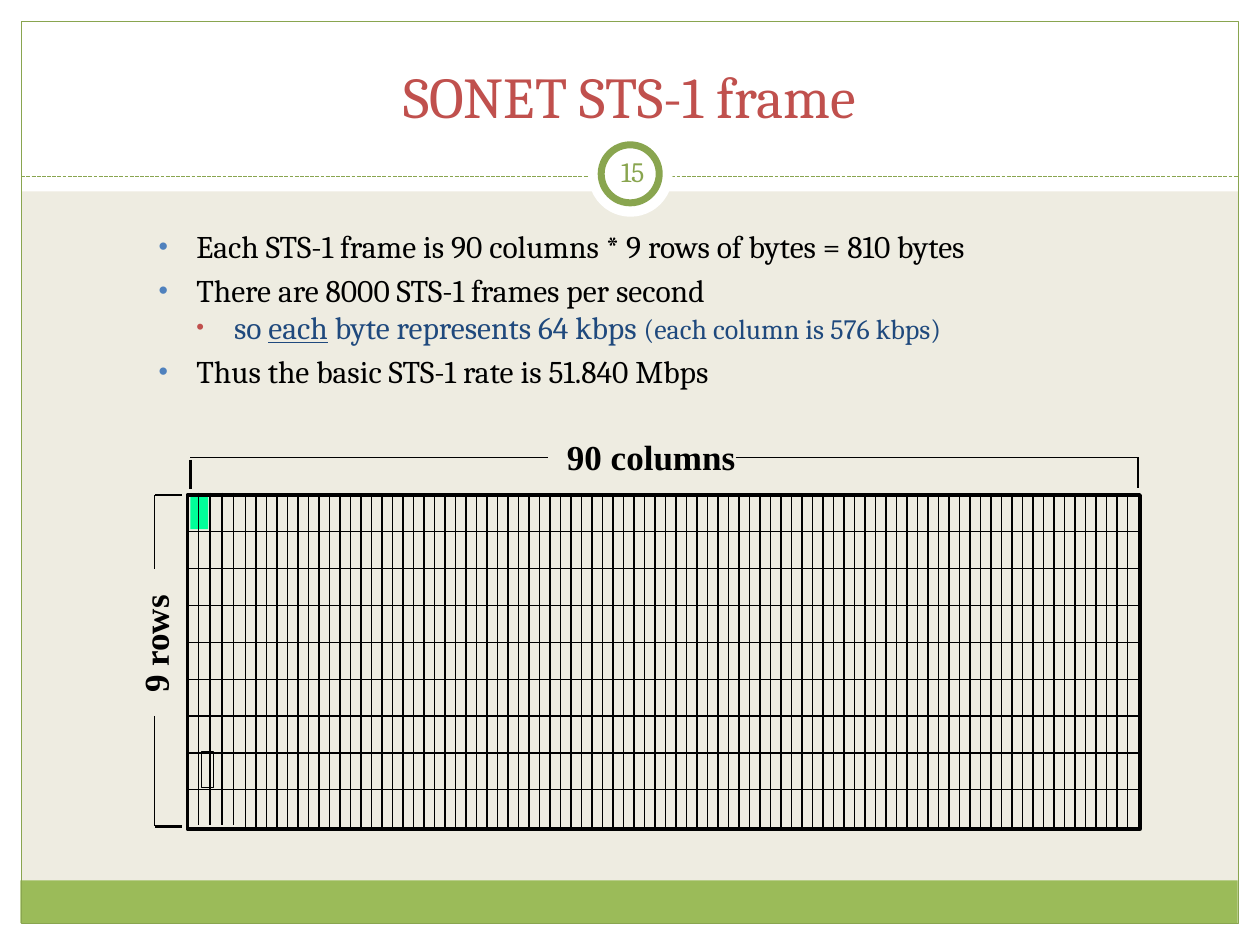
from dataclasses import dataclass
from typing import Optional

from lxml.etree import SubElement
from pptx import Presentation
from pptx.dml.color import RGBColor
from pptx.enum.dml import MSO_LINE
from pptx.enum.shapes import MSO_CONNECTOR, MSO_SHAPE
from pptx.enum.text import MSO_ANCHOR, PP_ALIGN
from pptx.oxml.ns import qn
from pptx.util import Cm, Pt

BLACK = RGBColor(0x00, 0x00, 0x00)
WHITE = RGBColor(0xFF, 0xFF, 0xFF)
CREAM = RGBColor(0xEE, 0xEC, 0xE1)
LEAF = RGBColor(0x9B, 0xBB, 0x59)
OLIVE = RGBColor(0x89, 0xA5, 0x4F)
RED = RGBColor(0xC0, 0x50, 0x4D)
BLUE = RGBColor(0x4F, 0x81, 0xBD)
NAVY = RGBColor(0x1F, 0x49, 0x7D)
MINT = RGBColor(0x00, 0xFF, 0x99)


@dataclass(frozen=True)
class Area:
    left: float
    top: float
    width: float
    height: float
    fill: Optional[RGBColor] = None
    line: Optional[RGBColor] = None
    weight: float = 0.75
    preset: MSO_SHAPE = MSO_SHAPE.RECTANGLE


@dataclass(frozen=True)
class Rule:
    x1: float
    y1: float
    x2: float
    y2: float
    weight: float = 0.75
    color: RGBColor = BLACK
    dash: Optional[MSO_LINE] = None


@dataclass(frozen=True)
class Words:
    text: str
    size: float = 18
    color: RGBColor = BLACK
    font: str = "Cambria"
    bold: bool = False
    underline: bool = False


@dataclass(frozen=True)
class Label:
    left: float
    top: float
    width: float
    height: float
    words: Words
    align: PP_ALIGN = PP_ALIGN.LEFT
    anchor: MSO_ANCHOR = MSO_ANCHOR.TOP
    rotation: float = 0
    inset: Optional[float] = None


@dataclass(frozen=True)
class Level:
    margin: float
    bullet_color: RGBColor
    bullet_percent: int
    space_before: float
    line_spacing: float


MAIN = Level(0.76, BLUE, 85, 3.6, 1.0)
DETAIL = Level(1.52, RED, 70, 1.8, 0.9)

POINTS = [
    (MAIN, [Words("Each STS-1 frame is 90 columns * 9 rows of bytes = 810 bytes")]),
    (MAIN, [Words("There are 8000 STS-1 frames per second")]),
    (DETAIL, [
        Words("so ", color=NAVY),
        Words("each", color=NAVY, underline=True),
        Words(" byte represents 64 kbps ", color=NAVY),
        Words("(each column is 576 kbps)", 16, NAVY),
    ]),
    (MAIN, [Words("Thus the basic STS-1 rate is 51.840 Mbps")]),
]

THEME_AREAS = [
    Area(0, 18.62, 25.4, 0.43, WHITE),
    Area(0, 0, 25.4, 3.86, WHITE),
    Area(0, 0, 0.43, 19.05, WHITE),
    Area(24.97, 0, 0.43, 19.05, WHITE),
    Area(0.41, 17.75, 24.54, 0.86, LEAF),
    Area(0.43, 0.43, 24.54, 18.19, None, OLIVE),
]
DIVIDER = Rule(0.43, 3.56, 24.97, 3.56, 0.75, OLIVE, MSO_LINE.SQUARE_DOT)
BADGE = [
    Area(11.86, 2.67, 1.7, 1.7, WHITE, preset=MSO_SHAPE.OVAL),
    Area(12.12, 2.92, 1.17, 1.17, WHITE, OLIVE, 4, MSO_SHAPE.OVAL),
]
TITLE = Label(0.84, 0.64, 23.7, 2.11, Words("SONET STS-1 frame", 33, RED),
              PP_ALIGN.CENTER, MSO_ANCHOR.BOTTOM)
PAGE_NUMBER = Label(12.12, 2.84, 1.27, 1.22, Words("15", 16, OLIVE),
                    PP_ALIGN.CENTER, MSO_ANCHOR.MIDDLE, inset=0.13)

FIRST_BYTES = Area(3.84, 10.01, 0.36, 0.66, MINT)
FRAME = Area(3.78, 9.98, 19.2, 6.73, None, BLACK, 2.25)
BYTE_MARKER = Area(4.06, 15.16, 0.25, 0.71, None, BLACK)
DIMENSIONS = [
    Label(11.18, 8.66, 4.8, 1.09, Words("90 columns", 20, BLACK, "Times New Roman", True)),
    Label(1.85, 12.4, 2.54, 1.09, Words("9 rows", 20, BLACK, "Times New Roman", True),
          rotation=270),
]
BRACKETS = [
    Rule(3.84, 9.22, 11.05, 9.22),
    Rule(14.83, 9.22, 22.94, 9.22),
    Rule(3.84, 9.27, 3.84, 9.86, 1.5),
    Rule(22.94, 9.22, 22.94, 9.83, 1.5),
    Rule(3.12, 9.98, 3.12, 11.48),
    Rule(3.12, 14.43, 3.12, 16.66),
    Rule(3.12, 9.98, 3.66, 9.98, 1.5),
    Rule(3.12, 16.66, 3.66, 16.66, 1.5),
]


def spread(first: float, last: float, count: int) -> list[float]:
    return [first + (last - first) * i / (count - 1) for i in range(count)]


def draw_area(slide, area: Area) -> None:
    shape = slide.shapes.add_shape(
        area.preset, Cm(area.left), Cm(area.top), Cm(area.width), Cm(area.height))
    shape.shadow.inherit = False
    if area.fill is None:
        shape.fill.background()
    else:
        shape.fill.solid()
        shape.fill.fore_color.rgb = area.fill
    if area.line is None:
        shape.line.fill.background()
    else:
        shape.line.color.rgb = area.line
        shape.line.width = Pt(area.weight)


def draw_rule(slide, rule: Rule) -> None:
    connector = slide.shapes.add_connector(
        MSO_CONNECTOR.STRAIGHT, Cm(rule.x1), Cm(rule.y1), Cm(rule.x2), Cm(rule.y2))
    connector.line.color.rgb = rule.color
    connector.line.width = Pt(rule.weight)
    if rule.dash is not None:
        connector.line.dash_style = rule.dash
    SubElement(connector._element.spPr, qn("a:effectLst"))


def add_words(paragraph, words: Words) -> None:
    run = paragraph.add_run()
    run.text = words.text
    run.font.name = words.font
    run.font.size = Pt(words.size)
    run.font.color.rgb = words.color
    run.font.bold = words.bold
    run.font.underline = words.underline


def draw_label(slide, label: Label) -> None:
    box = slide.shapes.add_textbox(
        Cm(label.left), Cm(label.top), Cm(label.width), Cm(label.height))
    box.rotation = label.rotation
    frame = box.text_frame
    frame.word_wrap = True
    frame.vertical_anchor = label.anchor
    if label.inset is not None:
        frame.margin_left = frame.margin_right = Cm(label.inset)
        frame.margin_top = frame.margin_bottom = Cm(label.inset)
    frame.paragraphs[0].alignment = label.align
    add_words(frame.paragraphs[0], label.words)


def add_bullet(paragraph, level: Level) -> None:
    properties = paragraph._p.get_or_add_pPr()
    properties.set("marL", str(Cm(level.margin)))
    properties.set("indent", str(-Cm(MAIN.margin)))
    color = SubElement(properties, qn("a:buClr"))
    SubElement(color, qn("a:srgbClr"), val=str(level.bullet_color))
    SubElement(properties, qn("a:buSzPct"), val=str(level.bullet_percent * 1000))
    SubElement(properties, qn("a:buFont"), typeface="Arial")
    SubElement(properties, qn("a:buChar"), char="•")


def draw_points(slide) -> None:
    frame = slide.shapes.add_textbox(Cm(2.95), Cm(4.45), Cm(20.47), Cm(4.55)).text_frame
    frame.word_wrap = True
    for index, (level, pieces) in enumerate(POINTS):
        paragraph = frame.add_paragraph() if index else frame.paragraphs[0]
        add_bullet(paragraph, level)
        paragraph.line_spacing = level.line_spacing
        paragraph.space_before = Pt(level.space_before if index else 0)
        for words in pieces:
            add_words(paragraph, words)


def draw_frame_grid(slide) -> None:
    draw_area(slide, FIRST_BYTES)
    draw_area(slide, FRAME)
    bottom = FRAME.top + FRAME.height
    for y in spread(10.72, 15.92, 8):
        draw_rule(slide, Rule(FRAME.left, y, FRAME.left + FRAME.width, y))
    for x in spread(4, 4.71, 4):
        draw_rule(slide, Rule(x, 9.93, x, 16.64))
    for x in spread(4.95, 22.73, 85):
        draw_rule(slide, Rule(x, FRAME.top, x, bottom))
    draw_area(slide, BYTE_MARKER)


def main() -> None:
    deck = Presentation()
    deck.slide_width, deck.slide_height = Cm(25.4), Cm(19.05)
    slide = deck.slides.add_slide(deck.slide_layouts[6])
    slide.background.fill.solid()
    slide.background.fill.fore_color.rgb = CREAM
    for area in THEME_AREAS:
        draw_area(slide, area)
    draw_rule(slide, DIVIDER)
    for area in BADGE:
        draw_area(slide, area)
    draw_label(slide, TITLE)
    draw_points(slide)
    draw_frame_grid(slide)
    for label in DIMENSIONS:
        draw_label(slide, label)
    for rule in BRACKETS:
        draw_rule(slide, rule)
    draw_label(slide, PAGE_NUMBER)
    deck.save("out.pptx")


if __name__ == "__main__":
    main()
